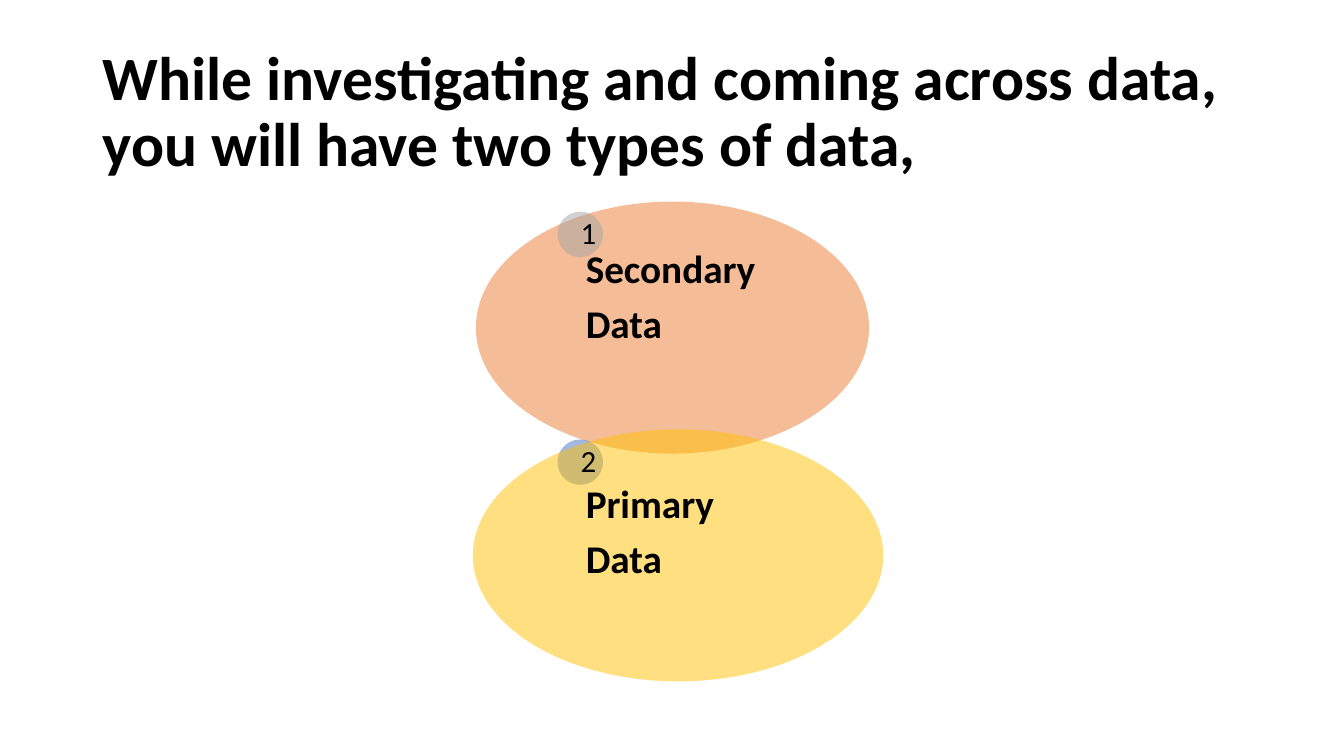
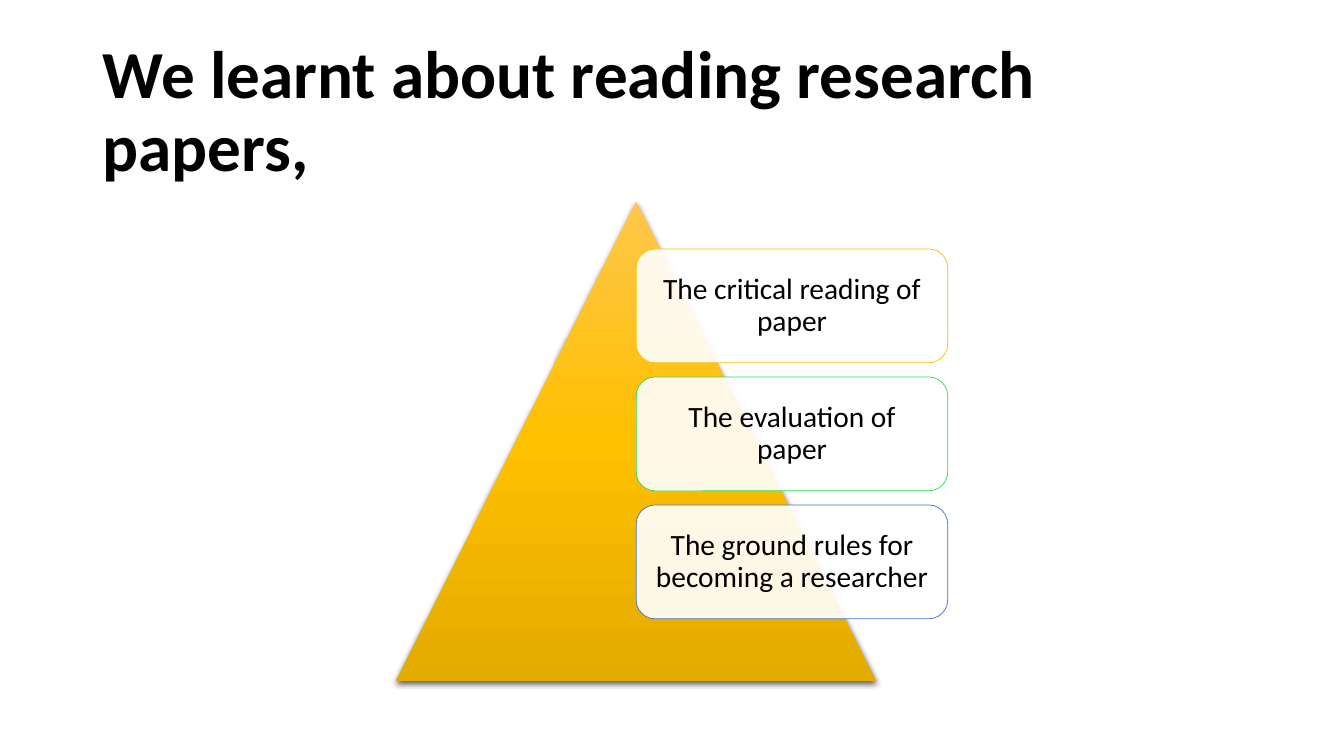
import dataclasses

import lxml.etree
import pptx
import pptx.dml.color
import pptx.enum.shapes
import pptx.enum.text
import pptx.oxml.ns
import pptx.util

PX = 9144  # EMU: 100 px to the inch
SHAPE = pptx.enum.shapes.MSO_SHAPE
ALIGN = pptx.enum.text.PP_ALIGN
qn = pptx.oxml.ns.qn


@dataclasses.dataclass(frozen=True)
class Theme:
    font: str = "Calibri"
    ink: str = "000000"
    white: str = "FFFFFF"
    orange: str = "ED7D31"
    gold: str = "FFC000"
    gray: str = "A5A5A5"
    blue: str = "4472C4"
    green: str = "23E148"
    pyramid_stops: tuple = ((0, "FFC64B"), (50, "FFC000"), (100, "E3AB00"))
    venn_alpha: int = 50
    card_alpha: int = 90
    card_line: float = 0.5
    title_size: int = 44
    large_title_size: int = 48
    label_size: int = 28
    number_size: int = 22
    card_size: int = 21
    line_spacing: float = 0.9
    label_gap: float = 9.5


THEME = Theme()


def px(*lengths):
    return [pptx.util.Emu(length * PX) for length in lengths]


def rgb(color):
    return pptx.dml.color.RGBColor.from_string(color)


def add_element(parent, tag, **attributes):
    element = lxml.etree.SubElement(parent, qn(tag))
    for name, value in attributes.items():
        element.set(name, str(value))
    return element


def write(shape, text, size, bold=False, align=ALIGN.LEFT, insets=(0, 0), gap=0):
    """Fill a shape with middle-anchored text; insets are horizontal, vertical."""
    frame = shape.text_frame
    frame.word_wrap = True
    frame.vertical_anchor = pptx.enum.text.MSO_ANCHOR.MIDDLE
    frame.margin_left = frame.margin_right = px(insets[0])[0]
    frame.margin_top = frame.margin_bottom = px(insets[1])[0]
    frame.text = text
    for paragraph in frame.paragraphs:
        paragraph.alignment = align
        paragraph.line_spacing = THEME.line_spacing
        paragraph.space_after = pptx.util.Pt(gap)
        for span in paragraph.runs:
            span.font.name = THEME.font
            span.font.size = pptx.util.Pt(size)
            span.font.bold = bold
            span.font.color.rgb = rgb(THEME.ink)


def add_text(page, box, text, size, **style):
    write(page.shapes.add_textbox(*px(*box)), text, size, **style)


def add_shape(page, kind, box, color, alpha):
    """Add a translucent shape without outline or shadow."""
    shape = page.shapes.add_shape(kind, *px(*box))
    shape.shadow.inherit = False
    shape.fill.solid()
    shape.fill.fore_color.rgb = rgb(color)
    solid = shape._element.spPr.find(qn("a:solidFill"))
    add_element(solid[0], "a:alpha", val=alpha * 1000)
    shape.line.fill.background()
    return shape


def add_title(page, text, size):
    add_text(page, (92, 40, 1150, 145), text, size, bold=True, insets=(10, 5))


def add_data_type(page, box, disc_left, number, label, label_offset, color, disc_color):
    """Draw an oval with its number disc and two-line label."""
    top = box[1]
    disc_top, disc_size, text_width = top + 10, 45, 241
    add_shape(page, SHAPE.OVAL, box, color, THEME.venn_alpha)
    disc = add_shape(page, SHAPE.OVAL, (disc_left, disc_top, disc_size, disc_size),
                     disc_color, THEME.venn_alpha)
    # The oval lies over the second disc and under the first.
    if number == "2":
        page.shapes._spTree.remove(disc._element)
        page.shapes._spTree.insert(len(page.shapes._spTree) - 1, disc._element)
    add_text(page, (disc_left + 23, disc_top, text_width, disc_size), number,
             THEME.number_size, insets=(0, 3))
    add_text(page, (disc_left + 28, top + label_offset, text_width, 26), label,
             THEME.label_size, bold=True, insets=(0, 4), gap=THEME.label_gap)


def add_pyramid(page, box):
    triangle = add_shape(page, SHAPE.ISOSCELES_TRIANGLE, box, THEME.gold, 100)
    properties = triangle._element.spPr
    gradient = lxml.etree.Element(qn("a:gradFill"))
    stops = add_element(gradient, "a:gsLst")
    for position, color in THEME.pyramid_stops:
        stop = add_element(stops, "a:gs", pos=position * 1000)
        add_element(stop, "a:srgbClr", val=color)
    add_element(gradient, "a:lin", ang=5400000, scaled=0)
    properties.replace(properties.find(qn("a:solidFill")), gradient)
    shadow = add_element(properties.find(qn("a:effectLst")), "a:outerShdw",
                         blurRad=57150, dist=19050, dir=5400000, algn="ctr", rotWithShape=0)
    shade = add_element(shadow, "a:srgbClr", val=THEME.ink)
    add_element(shade, "a:alpha", val=63000)


def add_cards(page, box, cards):
    """Stack outlined cards evenly in the box."""
    left, top, width, height = box
    gap = 14
    card_height = (height - gap * (len(cards) - 1)) // len(cards)
    for index, (text, color) in enumerate(cards):
        card_top = top + index * (card_height + gap)
        card = add_shape(page, SHAPE.ROUNDED_RECTANGLE, (left, card_top, width, card_height),
                         THEME.white, THEME.card_alpha)
        card.line.color.rgb = rgb(color)
        card.line.width = pptx.util.Pt(THEME.card_line)
        write(card, text, THEME.card_size, align=ALIGN.CENTER, insets=(11, 9))


def build_data_types(page):
    add_title(page, "While investigating and coming across data, you will have two types of data,",
              THEME.title_size)
    add_data_type(page, (472, 200, 390, 250), 553, "1", "Secondary\nData", 83,
                  THEME.orange, THEME.gray)
    add_data_type(page, (469, 426, 407, 250), 553, "2", "Primary\nData", 90,
                  THEME.gold, THEME.blue)


def build_reading(page):
    add_title(page, "We learnt about reading research papers,", THEME.large_title_size)
    add_pyramid(page, (393, 200, 476, 476))
    add_cards(page, (631, 247, 309, 367), (
        ("The critical reading of paper", THEME.gold),
        ("The evaluation of paper", THEME.green),
        ("The ground rules for becoming a researcher", THEME.blue),
    ))


def main():
    deck = pptx.Presentation()
    deck.slide_width, deck.slide_height = px(1333, 750)
    for build in (build_data_types, build_reading):
        build(deck.slides.add_slide(deck.slide_layouts[6]))
    deck.save("out.pptx")


if __name__ == "__main__":
    main()
